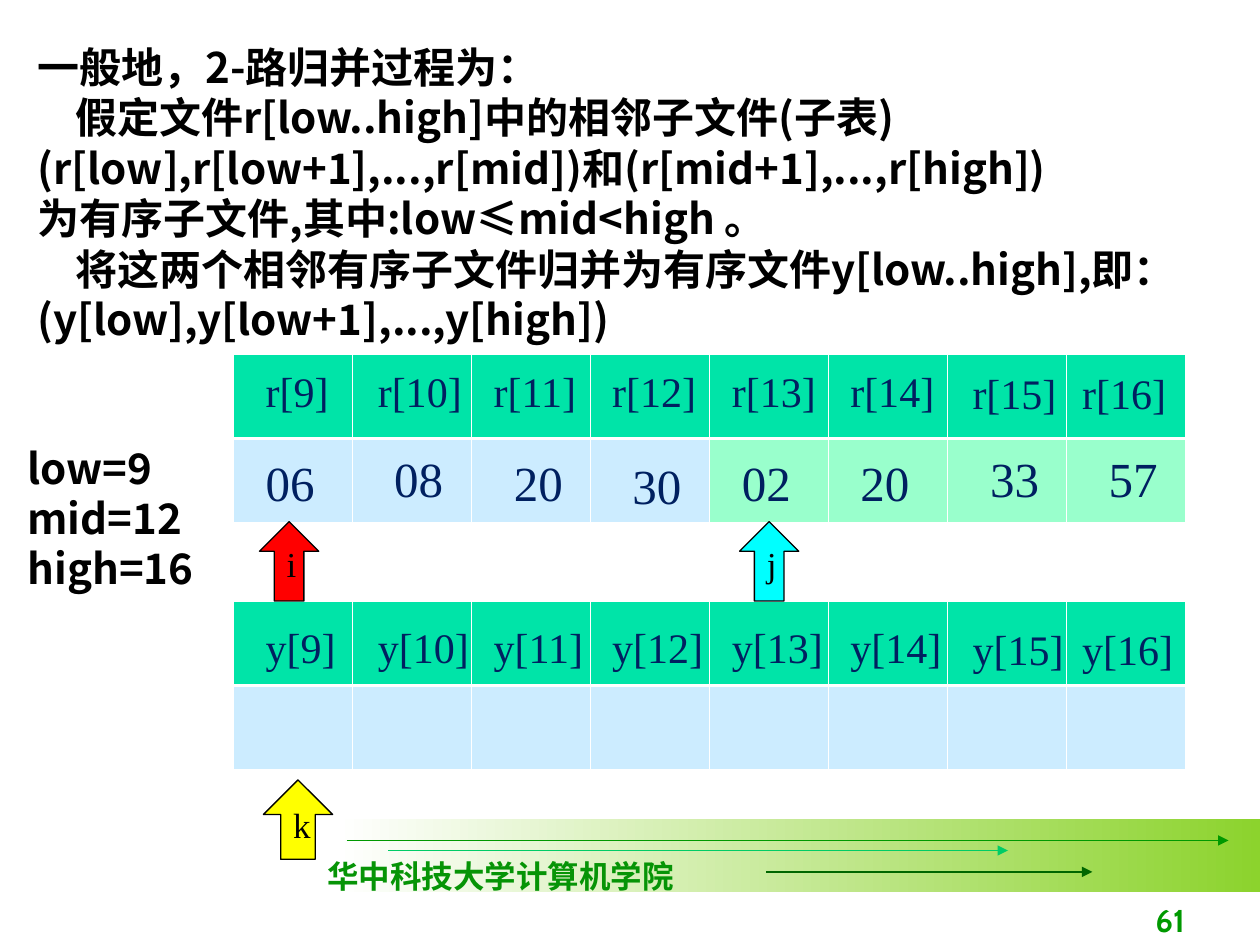
from lxml import etree
from pptx import Presentation
from pptx.dml.color import RGBColor
from pptx.enum.shapes import MSO_CONNECTOR, MSO_SHAPE
from pptx.enum.text import MSO_ANCHOR, PP_ALIGN
from pptx.oxml.ns import qn
from pptx.util import Inches, Pt

STRAIGHT = MSO_CONNECTOR.STRAIGHT
RECTANGLE, UP_ARROW = MSO_SHAPE.RECTANGLE, MSO_SHAPE.UP_ARROW
TOP, BOTTOM = MSO_ANCHOR.TOP, MSO_ANCHOR.BOTTOM
LEFT, RIGHT = PP_ALIGN.LEFT, PP_ALIGN.RIGHT

SERIF, SANS, NUMBER = "Times New Roman", "Noto Sans CJK SC", "Cabin"
BLACK, WHITE, NAVY = "000000", "FFFFFF", "002060"
HEADER, FIRST_RUN, SECOND_RUN = "00E4A8", "CCECFF", "99FFCC"


def rgb(value):
    return RGBColor.from_string(value)


class MergeSlide:
    def __init__(self, slide):
        self.slide = slide
        self.shapes = slide.shapes

    def fill_text(self, frame, lines, size, font, color, bold=False, align=LEFT,
                  anchor=TOP, wrap=True, spacing=None, indents=()):
        frame.word_wrap = wrap
        frame.vertical_anchor = anchor
        for index, line in enumerate(lines):
            paragraph = frame.paragraphs[0] if index == 0 else frame.add_paragraph()
            paragraph.alignment = align
            if spacing:
                paragraph.line_spacing = Pt(spacing)
            if index in indents:
                paragraph._p.get_or_add_pPr().set("indent", str(Inches(0.3)))
            run = paragraph.add_run()
            run.text = line
            run.font.size = Pt(size)
            run.font.name = font
            run.font.bold = bold
            run.font.color.rgb = rgb(color)
            east_asian = etree.SubElement(run._r.get_or_add_rPr(), qn("a:ea"))
            east_asian.set("typeface", SANS)

    def text(self, left, top, width, height, lines, size, font, color, **style):
        box = self.shapes.add_textbox(Inches(left), Inches(top), Inches(width), Inches(height))
        self.fill_text(box.text_frame, lines, size, font, color, **style)

    def band(self, left, top, width, height, start, end):
        band = self.shapes.add_shape(
            RECTANGLE, Inches(left), Inches(top), Inches(width), Inches(height))
        band.shadow.inherit = False
        band.line.fill.background()
        band.fill.gradient()
        band.fill.gradient_angle = 0
        for stop, color in zip(band.fill.gradient_stops, (start, end)):
            stop.color.rgb = rgb(color)

    def line(self, start, end, y, color):
        line = self.shapes.add_connector(
            STRAIGHT, Inches(start), Inches(y), Inches(end), Inches(y))
        line.line.color.rgb = rgb(color)
        line.line.width = Pt(0.75)
        etree.SubElement(line.line._get_or_add_ln(), qn("a:tailEnd"), type="triangle")
        etree.SubElement(line._element.spPr, qn("a:effectLst"))

    def pointer(self, left, top, width, name, color):
        pointer = self.shapes.add_shape(
            UP_ARROW, Inches(left), Inches(top), Inches(width), Inches(0.63))
        pointer.shadow.inherit = False
        pointer.fill.solid()
        pointer.fill.fore_color.rgb = rgb(color)
        pointer.line.color.rgb = rgb(BLACK)
        pointer.line.width = Pt(0.75)
        self.fill_text(pointer.text_frame, [name], 20, SERIF, BLACK, wrap=False)

    def border(self, cell, side, width):
        edge = etree.SubElement(cell._tc.get_or_add_tcPr(), qn(f"a:{side}"), w=str(Pt(width)))
        fill = etree.SubElement(edge, qn("a:solidFill"))
        etree.SubElement(fill, qn("a:srgbClr"), val=WHITE)

    def array(self, top, row_fills):
        table = self.shapes.add_table(
            2, 8, Inches(1.85), Inches(top), Inches(7.56), Inches(1.34)).table
        table.first_row = table.horz_banding = False
        for column in table.columns:
            column.width = Inches(7.56 / 8)
        for row, fills in enumerate(row_fills):
            table.rows[row].height = Inches(0.67)
            for column, color in enumerate(fills):
                cell = table.cell(row, column)
                inner = "lnB" if row == 0 else "lnT"
                for side in ("lnL", "lnR", "lnT", "lnB"):
                    self.border(cell, side, 1.47 if side == inner else 0.45)
                cell.fill.solid()
                cell.fill.fore_color.rgb = rgb(color)

    def entries(self, lefts, tops, width, height, words, size):
        for left, top, word in zip(lefts, tops, words):
            self.text(left, top, width, height, [word], size, SERIF, NAVY)


def main():
    presentation = Presentation()
    presentation.slide_width, presentation.slide_height = Inches(10), Inches(7.5)
    merge = MergeSlide(presentation.slides.add_slide(presentation.slide_layouts[6]))

    merge.band(2.67, 6.5, 7.33, 0.58, WHITE, "8CD32D")
    for start, end, y, color in ((2.75, 9.75, 6.67, "009900"),
                                 (3.08, 8, 6.75, "00CC66"),
                                 (6.08, 8.67, 6.92, "006600")):
        merge.line(start, end, y, color)
    merge.text(2.5, 6.75, 2.95, 0.4, ["华中科技大学计算机学院"], 18, SERIF, "069406",
               bold=True, wrap=False)
    merge.text(7.42, 7, 2.08, 0.5, ["61"], 18, NUMBER, "009900",
               bold=True, align=RIGHT, anchor=BOTTOM)

    process = [
        "一般地，2-路归并过程为：",
        "假定文件r[low..high]中的相邻子文件(子表)",
        "(r[low],r[low+1],...,r[mid])和(r[mid+1],...,r[high])",
        "为有序子文件,其中:low≤mid<high 。",
        "将这两个相邻有序子文件归并为有序文件y[low..high],即：",
        "(y[low],y[low+1],...,y[high])",
    ]
    merge.text(0.2, 0.28, 9.61, 3.11, process, 24, SANS, BLACK,
               bold=True, spacing=28.8, indents=(1, 4))

    merge.array(4.77, [[HEADER] * 8, [FIRST_RUN] * 8])
    merge.array(2.81, [[HEADER] * 8, [FIRST_RUN] * 4 + [SECOND_RUN] * 4])

    index_lefts = (2.01, 2.9, 3.82, 4.76, 5.71, 6.65, 7.62, 8.49)
    for name, top in (("r", 2.85), ("y", 4.88)):
        labels = [f"{name}[{index}]" for index in range(9, 17)]
        merge.entries(index_lefts, [top] * 6 + [top + 0.02] * 2, 0.92, 0.5, labels, 24)
    key_lefts = (2.01, 3.03, 3.98, 4.92, 5.79, 6.73, 7.76, 8.7)
    key_tops = (3.54, 3.51, 3.54, 3.57, 3.54, 3.54, 3.51, 3.51)
    keys = ("06", "08", "20", "30", "02", "20", "33", "57")
    merge.entries(key_lefts, key_tops, 0.79, 0.57, keys, 28)

    merge.pointer(5.87, 4.14, 0.47, "j", "00FFFF")
    merge.pointer(2.06, 4.14, 0.47, "i", "FF0000")
    merge.text(0.12, 3.46, 1.57, 1.3, ["low=9", "mid=12", "high=16"], 24, SANS, BLACK,
               bold=True, spacing=28.8)
    merge.pointer(2.09, 6.19, 0.55, "k", "FFFF00")

    presentation.save("out.pptx")


if __name__ == "__main__":
    main()
